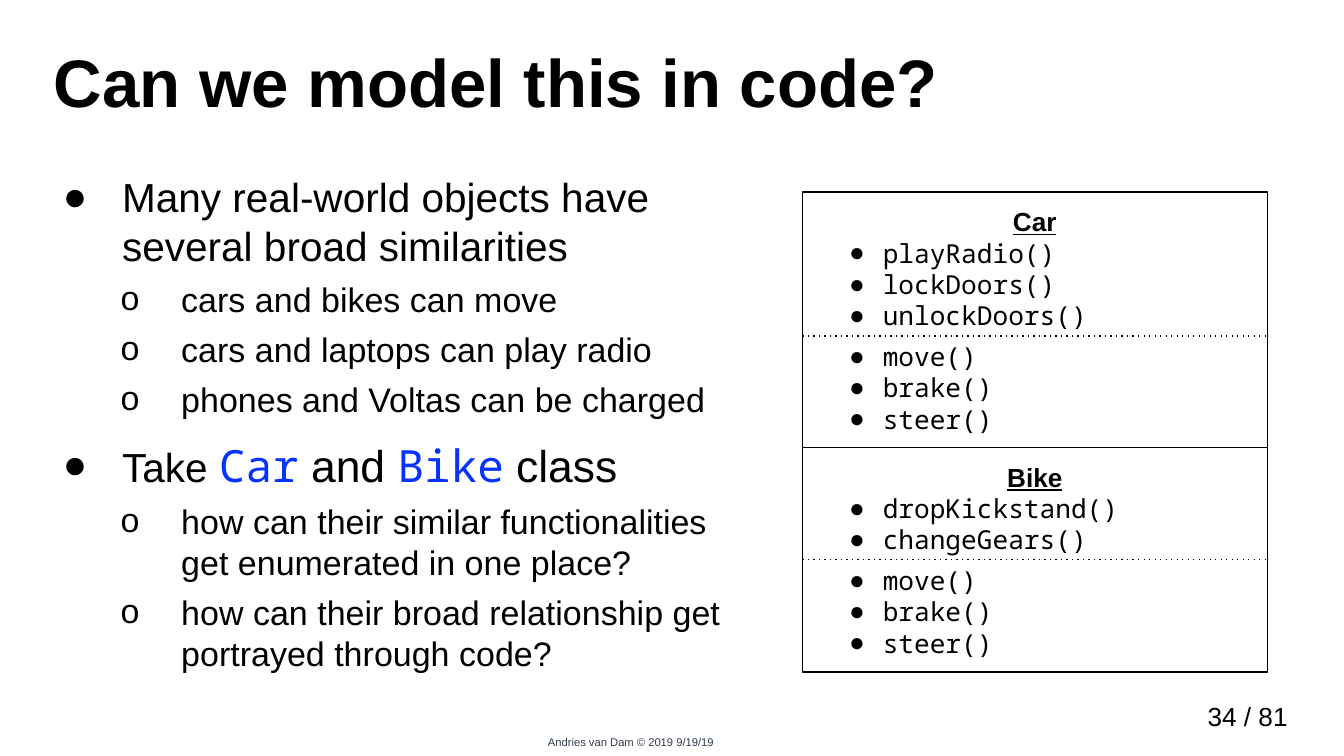
from dataclasses import dataclass

from lxml.etree import SubElement
from pptx import Presentation
from pptx.dml.color import RGBColor
from pptx.enum.shapes import MSO_CONNECTOR, MSO_SHAPE
from pptx.enum.text import MSO_ANCHOR, PP_ALIGN
from pptx.oxml.ns import qn
from pptx.util import Inches, Pt


@dataclass(frozen=True)
class Theme:
    """Colours, fonts and type sizes of the slide."""
    black: str = "000000"
    code: str = "0432FF"
    footer: str = "323F4F"
    sans: str = "Arial"
    mono: str = "Noto Sans Mono"
    title_size: float = 36
    point_size: float = 21.7
    class_size: float = 23.8
    detail_size: float = 18.2
    small_size: float = 14
    footer_size: float = 6
    line_width: float = 0.75


THEME = Theme()


@dataclass(frozen=True)
class Box:
    """A rectangle in inches."""
    left: float
    top: float
    width: float
    height: float

    def lengths(self) -> tuple:
        """Return the sides as lengths."""
        return tuple(Inches(n) for n in (self.left, self.top, self.width, self.height))


@dataclass(frozen=True)
class Words:
    """A run of text with its font."""
    text: str
    size: float
    font: str = THEME.sans
    color: str = THEME.black
    bold: bool = False
    underline: bool = False


@dataclass(frozen=True)
class Bullet:
    """A bullet character with its indents in inches."""
    character: str
    margin: float
    indent: float
    level: int = 0


@dataclass(frozen=True)
class ClassCard:
    """A class with its own methods and the height of its divider."""
    name: str
    box: Box
    own_methods: tuple
    divider: float


POINT = Bullet("●", 0.51, -0.44)
DETAIL = Bullet("o", 0.95, -0.45, 1)
METHOD = Bullet("●", 0.5, -0.25)
SHARED_METHODS = ("move()", "brake()", "steer()")
CARDS = (
    ClassCard("Car", Box(5.97, 1.43, 3.46, 1.9),
              ("playRadio()", "lockDoors()", "unlockDoors()"), 2.5),
    ClassCard("Bike", Box(5.97, 3.33, 3.46, 1.67),
              ("dropKickstand()", "changeGears()"), 4.17),
)
OUTLINE = (
    ((Words("Many real-world objects have several broad similarities", THEME.point_size),),
     ("cars and bikes can move", "cars and laptops can play radio",
      "phones and Voltas can be charged")),
    ((Words("Take ", THEME.point_size),
      Words("Car", THEME.class_size, THEME.mono, THEME.code),
      Words(" and ", THEME.class_size),
      Words("Bike", THEME.class_size, THEME.mono, THEME.code),
      Words(" class", THEME.class_size)),
     ("how can their similar functionalities get enumerated in one place?",
      "how can their broad relationship get portrayed through code?")),
)


def apply_format(target, values: dict) -> None:
    """Set each named attribute of the target."""
    for name, value in values.items():
        setattr(target, name, value)


def write(paragraph, words: tuple, **values) -> None:
    """Add formatted runs to a paragraph."""
    apply_format(paragraph, values)
    for part in words:
        run = paragraph.add_run()
        run.text = part.text
        apply_format(run.font, {"name": part.font, "size": Pt(part.size),
                                "bold": part.bold, "underline": part.underline})
        run.font.color.rgb = RGBColor.from_string(part.color)


def add_bullet(paragraph, bullet: Bullet) -> None:
    """Give a paragraph its bullet and hanging indent."""
    paragraph.level = bullet.level
    properties = paragraph._p.get_or_add_pPr()
    properties.set("marL", str(Inches(bullet.margin)))
    properties.set("indent", str(Inches(bullet.indent)))
    color = SubElement(properties, qn("a:buClr"))
    SubElement(color, qn("a:srgbClr"), val=THEME.black)
    SubElement(properties, qn("a:buFont"), typeface=THEME.sans)
    SubElement(properties, qn("a:buChar"), char=bullet.character)


def next_paragraph(frame):
    """Return the empty first paragraph or a new one."""
    first = frame.paragraphs[0]
    return frame.add_paragraph() if first.runs else first


def add_text_box(slide, box: Box):
    """Add a wrapping text box and return its frame."""
    frame = slide.shapes.add_textbox(*box.lengths()).text_frame
    frame.word_wrap = True
    return frame


def add_title(slide, words: Words, box: Box) -> None:
    """Place and format the title placeholder."""
    title = slide.shapes.title
    apply_format(title, dict(zip(("left", "top", "width", "height"), box.lengths())))
    title.text_frame.vertical_anchor = MSO_ANCHOR.MIDDLE
    write(title.text_frame.paragraphs[0], (words,), alignment=PP_ALIGN.LEFT, line_spacing=0.9)


def add_outline(slide, box: Box) -> None:
    """Write the points and their details."""
    frame = add_text_box(slide, box)
    for index, (point, details) in enumerate(OUTLINE):
        paragraph = next_paragraph(frame)
        write(paragraph, point, space_before=Pt(10 * index))
        add_bullet(paragraph, POINT)
        for detail in details:
            paragraph = next_paragraph(frame)
            write(paragraph, (Words(detail, THEME.detail_size),), space_before=Pt(5))
            add_bullet(paragraph, DETAIL)


def add_card(slide, card: ClassCard):
    """Draw a class box with its methods."""
    shape = slide.shapes.add_shape(MSO_SHAPE.RECTANGLE, *card.box.lengths())
    shape.shadow.inherit = False
    shape.fill.background()
    shape.line.color.rgb = RGBColor.from_string(THEME.black)
    shape.line.width = Pt(THEME.line_width)
    frame = shape.text_frame
    margins = ("margin_left", "margin_top", "margin_right", "margin_bottom")
    apply_format(frame, dict.fromkeys(margins, Inches(0.1)))
    apply_format(frame, {"vertical_anchor": MSO_ANCHOR.TOP, "word_wrap": True})
    heading = Words(card.name, THEME.small_size, bold=True, underline=True)
    write(frame.paragraphs[0], (heading,), alignment=PP_ALIGN.CENTER)
    for index, method in enumerate(card.own_methods + SHARED_METHODS):
        gap = 5 if index == len(card.own_methods) else 0
        paragraph = next_paragraph(frame)
        write(paragraph, (Words(method, THEME.small_size, THEME.mono),),
              alignment=PP_ALIGN.LEFT, space_before=Pt(gap))
        add_bullet(paragraph, METHOD)
    return shape


def add_divider(slide, card: ClassCard, shape) -> None:
    """Draw the dotted line above the shared methods."""
    box = card.box
    y = Inches(card.divider)
    connector = slide.shapes.add_connector(MSO_CONNECTOR.STRAIGHT, Inches(box.left), y,
                                           Inches(box.left + box.width), y)
    if abs(card.divider - box.top - box.height / 2) < 0.01:
        connector.begin_connect(shape, 1)
        connector.end_connect(shape, 3)
    connector.line.color.rgb = RGBColor.from_string(THEME.black)
    connector.line.width = Pt(THEME.line_width)
    SubElement(connector.line._get_or_add_ln(), qn("a:prstDash"), val="dot")
    SubElement(connector._element.spPr, qn("a:effectLst"))


def main() -> None:
    """Build and save the slide."""
    presentation = Presentation()
    apply_format(presentation, {"slide_width": Inches(10), "slide_height": Inches(10 * 9 / 16)})
    slide = presentation.slides.add_slide(presentation.slide_layouts[5])
    footer = add_text_box(slide, Box(3.33, 5.42, 2.75, 0.44))
    write(footer.paragraphs[0], (Words("Andries van Dam © 2019 9/19/19 ", THEME.footer_size,
                                       color=THEME.footer),), alignment=PP_ALIGN.CENTER)
    add_title(slide, Words("Can we model this in code?", THEME.title_size, bold=True),
              Box(0.3, 0.3, 9.38, 0.68))
    add_outline(slide, Box(0.3, 1.23, 5.41, 4.24))
    shapes = [add_card(slide, card) for card in CARDS]
    for card, shape in zip(CARDS, shapes):
        add_divider(slide, card, shape)
    number = add_text_box(slide, Box(7.43, 5.16, 2.25, 0.3))
    write(number.paragraphs[0], (Words("34 / 81", THEME.small_size),), alignment=PP_ALIGN.RIGHT)
    presentation.save("out.pptx")


if __name__ == "__main__":
    main()
